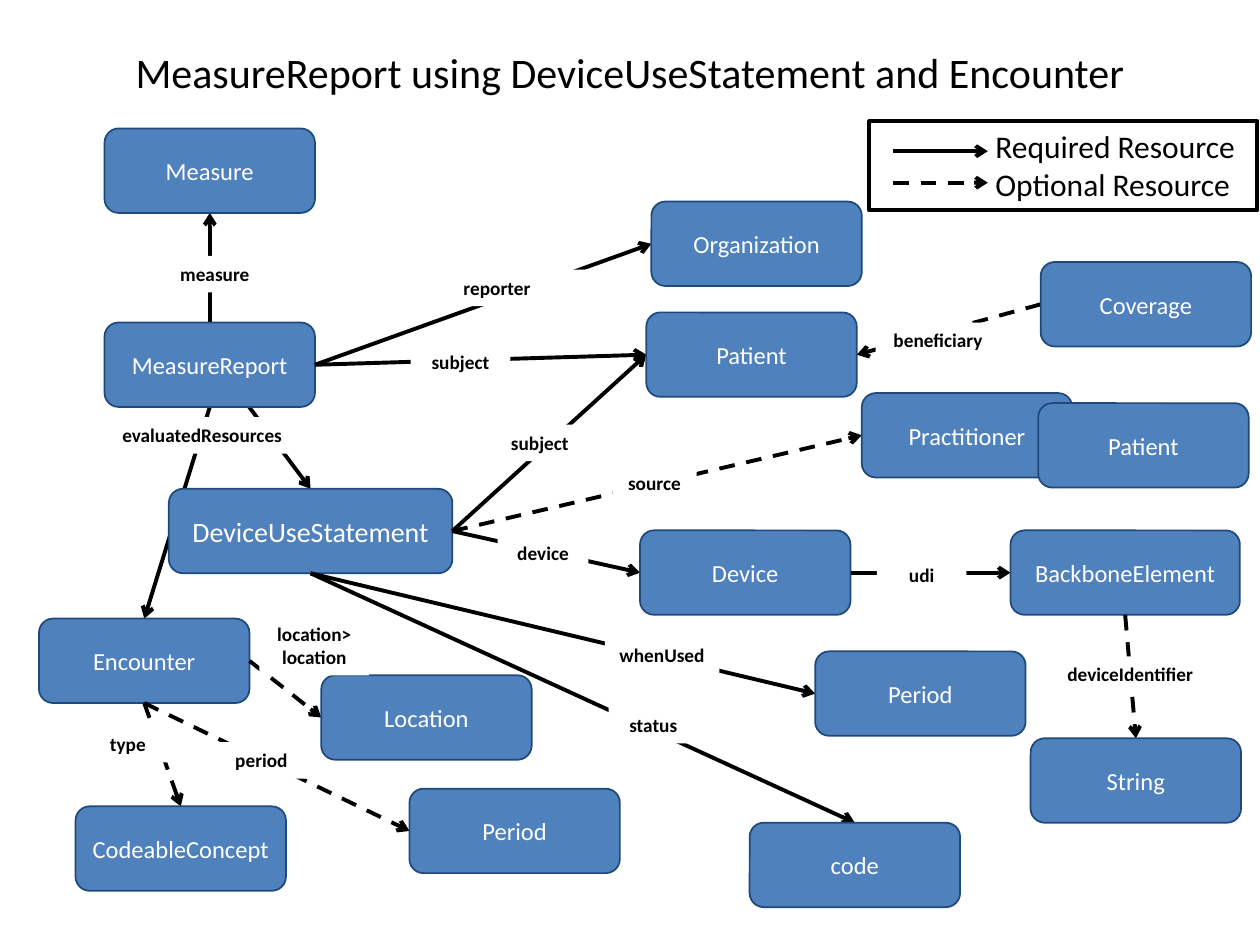
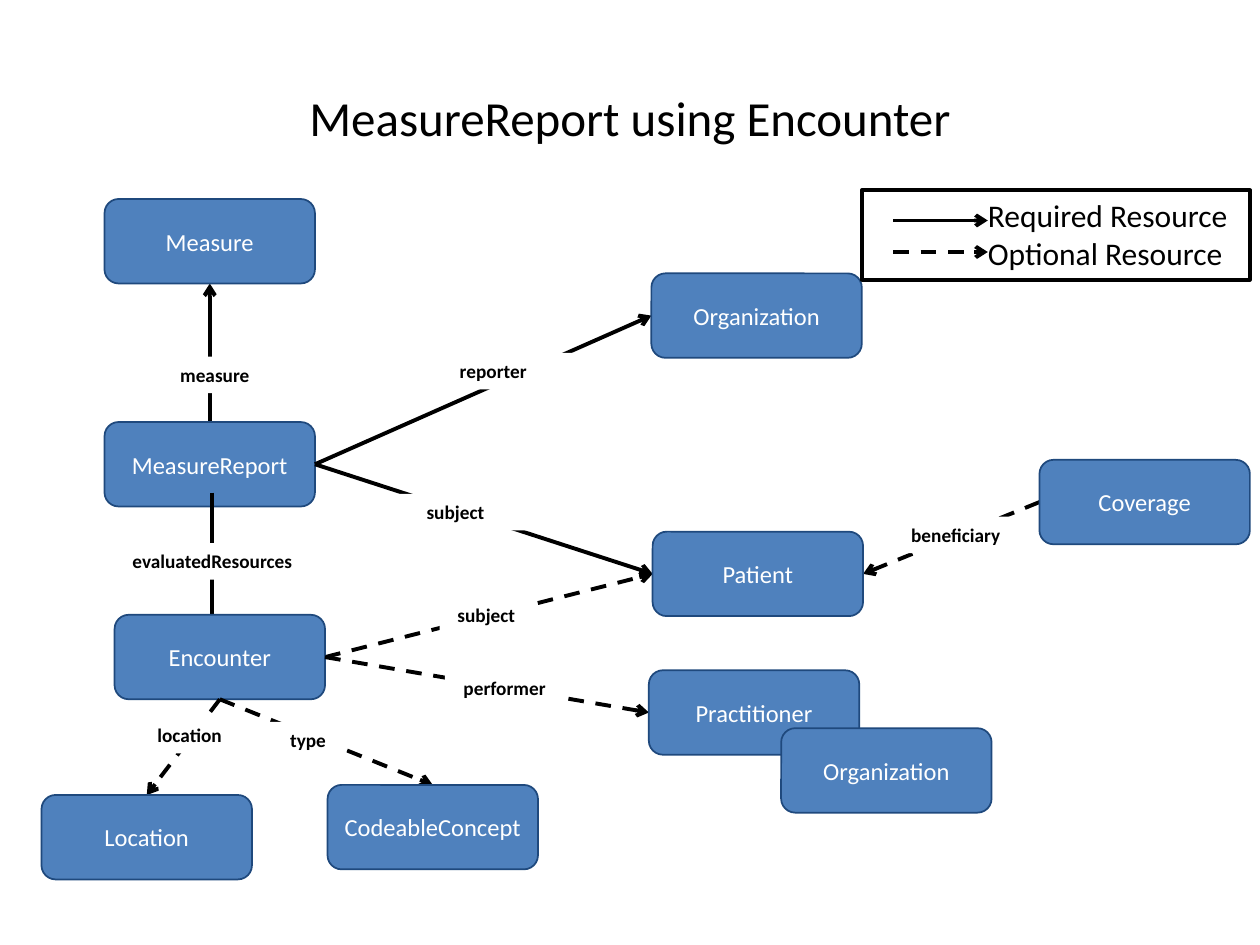
from pptx import Presentation
from pptx.dml.color import RGBColor
from pptx.enum import dml, shapes, text
from pptx.oxml.ns import qn
from pptx.util import Inches, Pt
from lxml import etree

COLORS = {"box": "4F81BD", "edge": "1F497D", "ink": "000000", "paper": "FFFFFF"}
FONT = "Calibri"
BOX_W, BOX_H, LABEL_H = 1.67, 0.67, 0.29
TOP, LEFT, BOTTOM, RIGHT = range(4)  # connection sites of a box

# Boxes: key -> (text, left, top[, width[, size]]), back to front.
# Each arrow is drawn just behind the box it points to.
# Arrows: (start, end, dashed); an end is (box key, side) or a point.
# Labels: (text, left, top, width).
DIAGRAMS = [
    {
        "title": ("MeasureReport using DeviceUseStatement and Encounter", -0.06, 24),
        "legend": (6.9, 0.96),
        "boxes": {
            "encounter": ("Encounter", 0.31, 4.91),
            "use": ("DeviceUseStatement", 1.34, 3.88, 2.25, 16),
            "measure": ("Measure", 0.83, 1.02),
            "report": ("MeasureReport", 0.83, 2.56),
            "organization": ("Organization", 5.17, 1.6),
            "patient": ("Patient", 5.13, 2.48),
            "coverage": ("Coverage", 8.26, 2.08),
            "practitioner": ("Practitioner", 6.84, 3.12),
            "source patient": ("Patient", 8.24, 3.2),
            "device": ("Device", 5.08, 4.21),
            "code": ("code", 5.95, 6.53),
            "use period": ("Period", 6.47, 5.17),
            "location": ("Location", 2.55, 5.36),
            "stay period": ("Period", 3.25, 6.26),
            "concept": ("CodeableConcept", 0.6, 6.4),
            "backbone": ("BackboneElement", 8.02, 4.21, 1.82),
            "string": ("String", 8.18, 5.86),
        },
        "arrows": [
            (("report", BOTTOM), ("encounter", TOP), False),
            ((1.67, 2.82), ("use", TOP), False),
            (("report", TOP), ("measure", BOTTOM), False),
            (("report", RIGHT), ("organization", LEFT), False),
            (("report", RIGHT), ("patient", LEFT), False),
            (("use", RIGHT), ("patient", LEFT), False),
            (("use", RIGHT), ("practitioner", LEFT), True),
            (("use", RIGHT), ("device", LEFT), False),
            (("use", BOTTOM), ("code", TOP), False),
            (("use", BOTTOM), ("use period", LEFT), False),
            (("coverage", LEFT), ("patient", RIGHT), True),
            (("encounter", RIGHT), ("location", LEFT), True),
            (("encounter", BOTTOM), ("stay period", LEFT), True),
            (("encounter", BOTTOM), ("concept", TOP), True),
            (("device", RIGHT), ("backbone", LEFT), False),
            (("backbone", BOTTOM), ("string", TOP), True),
        ],
        "labels": [
            ("measure", 1.08, 2.03, 1.25),
            ("reporter", 3.03, 2.14, 1.83),
            ("evaluatedResources", 0.71, 3.31, 1.79),
            ("beneficiary", 6.95, 2.56, 0.99),
            ("subject", 3.93, 3.37, 0.71),
            ("subject", 3.26, 2.73, 0.79),
            ("device", 3.95, 4.25, 0.72),
            ("status", 4.83, 5.61, 0.71),
            ("whenUsed", 4.8, 5.06, 0.91),
            ("location>\nlocation", 2.06, 4.89, 0.87),
            ("period", 1.72, 5.89, 0.71),
            ("type", 0.66, 5.76, 0.71),
            ("source", 4.86, 3.69, 0.67),
            ("udi", 6.96, 4.42, 0.71),
            ("deviceIdentifier", 8.36, 5.21, 1.22),
        ],
    },
    {
        "title": ("MeasureReport using Encounter", 0.3, 28),
        "legend": (6.84, 1.51),
        "boxes": {
            "measure": ("Measure", 0.83, 1.58),
            "report": ("MeasureReport", 0.83, 3.35),
            "organization": ("Organization", 5.17, 2.17),
            "patient": ("Patient", 5.18, 4.22),
            "encounter": ("Encounter", 0.91, 4.88),
            "location": ("Location", 0.33, 6.31),
            "coverage": ("Coverage", 8.25, 3.65),
            "concept": ("CodeableConcept", 2.6, 6.23),
            "practitioner": ("Practitioner", 5.15, 5.32),
            "performer organization": ("Organization", 6.2, 5.78),
        },
        "arrows": [
            (("report", TOP), ("measure", BOTTOM), False),
            ((1.68, 3.91), ("encounter", (1.68, 5)), False),
            (("report", RIGHT), ("organization", LEFT), False),
            (("report", RIGHT), ("patient", LEFT), False),
            (("encounter", BOTTOM), ("location", TOP), True),
            (("encounter", BOTTOM), ("concept", TOP), True),
            (("encounter", RIGHT), ("practitioner", LEFT), True),
            (("encounter", RIGHT), ("patient", LEFT), True),
            (("coverage", LEFT), ("patient", RIGHT), True),
        ],
        "labels": [
            ("measure", 1.08, 2.83, 1.25),
            ("reporter", 3, 2.8, 1.83),
            ("evaluatedResources", 0.79, 4.31, 1.79),
            ("subject", 2.99, 3.92, 1.25),
            ("beneficiary", 7.09, 4.1, 0.99),
            ("performer", 3.53, 5.32, 0.95),
            ("location", 1.07, 5.69, 0.87),
            ("type", 2.14, 5.73, 0.61),
            ("subject", 3.49, 4.74, 0.74),
        ],
    },
]


def add_arrow(s, start, end, dashed):
    line = s.shapes.add_connector(
        shapes.MSO_CONNECTOR.STRAIGHT, *[Inches(v) for v in (*start, *end)])
    line.line.color.rgb = RGBColor.from_string(COLORS["ink"])
    line.line.width = Pt(2.25)
    if dashed:
        line.line.dash_style = dml.MSO_LINE.DASH
    sp_pr = line._element.spPr
    etree.SubElement(sp_pr.find(qn("a:ln")), qn("a:tailEnd"), type="arrow")
    etree.SubElement(sp_pr, qn("a:effectLst"))
    return line


def add_block(s, kind, words, at, size, color, fill=None, edge=None, weight=1,
              bold=False, align=text.PP_ALIGN.CENTER, anchor=text.MSO_ANCHOR.TOP):
    sp = s.shapes.add_shape(kind, *[Inches(v) for v in at])
    sp.shadow.inherit = False
    if fill:
        sp.fill.solid()
        sp.fill.fore_color.rgb = RGBColor.from_string(COLORS[fill])
    else:
        sp.fill.background()
    if edge:
        sp.line.color.rgb = RGBColor.from_string(COLORS[edge])
        sp.line.width = Pt(weight)
    else:
        sp.line.fill.background()
    tf = sp.text_frame
    tf.word_wrap = True
    tf.vertical_anchor = anchor
    tf.margin_left = tf.margin_right = Inches(0.05)
    tf.text = words
    for p in tf.paragraphs:
        p.alignment = align
        p.font.name, p.font.size, p.font.bold = FONT, Pt(size), bold
        for r in p.runs:
            r.font.name, r.font.size, r.font.bold = FONT, Pt(size), bold
            r.font.color.rgb = RGBColor.from_string(COLORS[color])
    return sp


prs = Presentation()
prs.slide_width, prs.slide_height = Inches(10), Inches(7.5)

for diagram in DIAGRAMS:
    s = prs.slides.add_slide(prs.slide_layouts[5])

    # Title
    words, top, size = diagram["title"]
    title = s.shapes.title
    title.left, title.top = Inches(0.5), Inches(top)
    title.width, title.height = Inches(9), Inches(1.25)
    title.text_frame.text = words
    title.text_frame.vertical_anchor = text.MSO_ANCHOR.MIDDLE
    p = title.text_frame.paragraphs[0]
    p.alignment = text.PP_ALIGN.CENTER
    r = p.runs[0]
    r.font.name, r.font.size = FONT, Pt(size)
    r.font.color.rgb = RGBColor.from_string(COLORS["ink"])

    # Boxes, each in front of the arrows that reach it
    placed, joints = {}, []
    for key, (words, left, top, *rest) in diagram["boxes"].items():
        width, size = (rest + [BOX_W, 14][len(rest):])
        for start, (target, side), dashed in diagram["arrows"]:
            if target == key:
                free_start = (0, 0) if isinstance(start[0], str) else start
                free_end = side if isinstance(side, tuple) else (0, 0)
                line = add_arrow(s, free_start, free_end, dashed)
                joints.append((line, start, target, side))
        placed[key] = add_block(
            s, shapes.MSO_SHAPE.FLOWCHART_ALTERNATE_PROCESS, words,
            (left, top, width, BOX_H), size, "paper", fill="box", edge="edge",
            anchor=text.MSO_ANCHOR.MIDDLE)

    # Glue the arrows to the boxes
    for line, start, target, side in joints:
        if isinstance(start[0], str):
            line.begin_connect(placed[start[0]], start[1])
        if not isinstance(side, tuple):
            line.end_connect(placed[target], side)

    # Labels on the arrows
    for words, left, top, width in diagram["labels"]:
        height = LABEL_H + 0.18 * words.count("\n")
        add_block(s, shapes.MSO_SHAPE.RECTANGLE, words, (left, top, width, height),
                  11, "ink", fill="paper", bold=True)

    # Legend
    left, top = diagram["legend"]
    legend = add_block(s, shapes.MSO_SHAPE.RECTANGLE,
                       "Required Resource\nOptional Resource",
                       (left, top, 3.08, 0.71), 18, "ink", edge="ink",
                       weight=2.25, align=text.PP_ALIGN.LEFT)
    legend.text_frame.margin_left = Inches(1)
    for row, dashed in enumerate((False, True)):
        y = top + 0.24 + 0.25 * row
        add_arrow(s, (7.09, y), (7.84, y), dashed)

prs.save("out.pptx")
